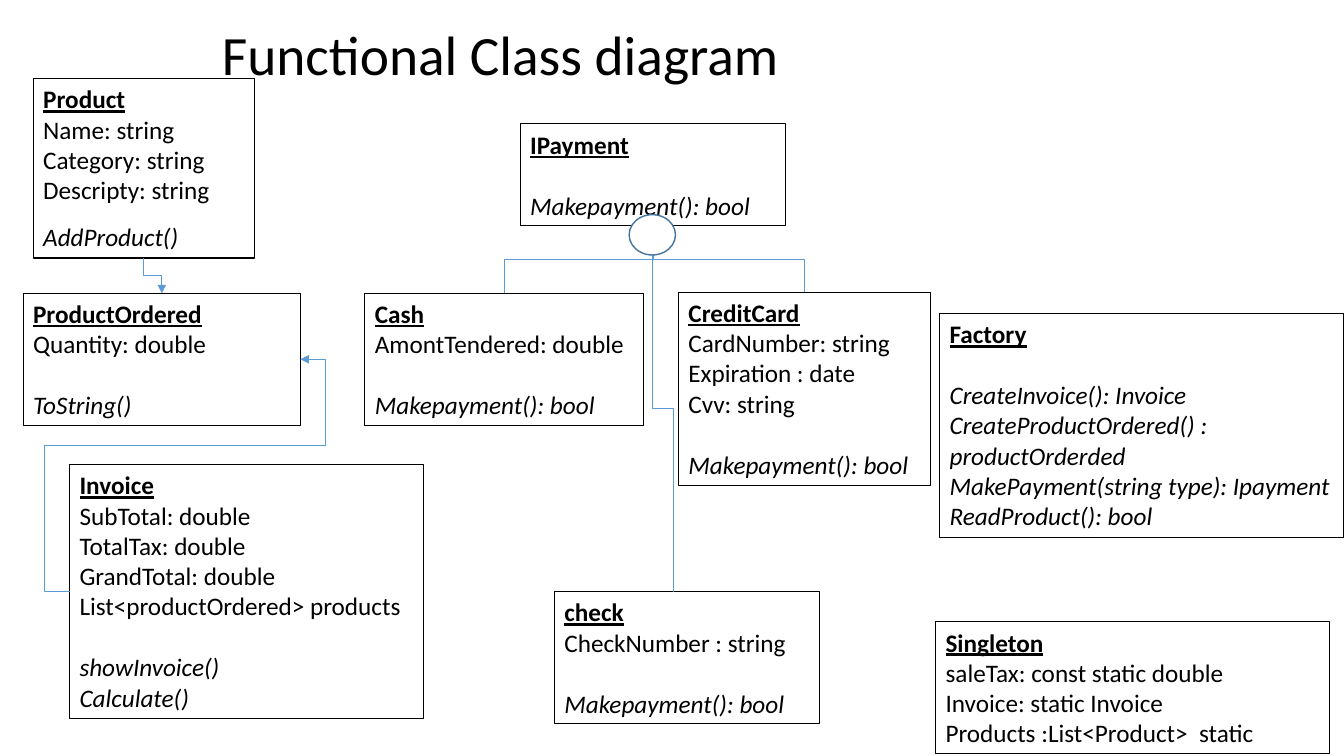
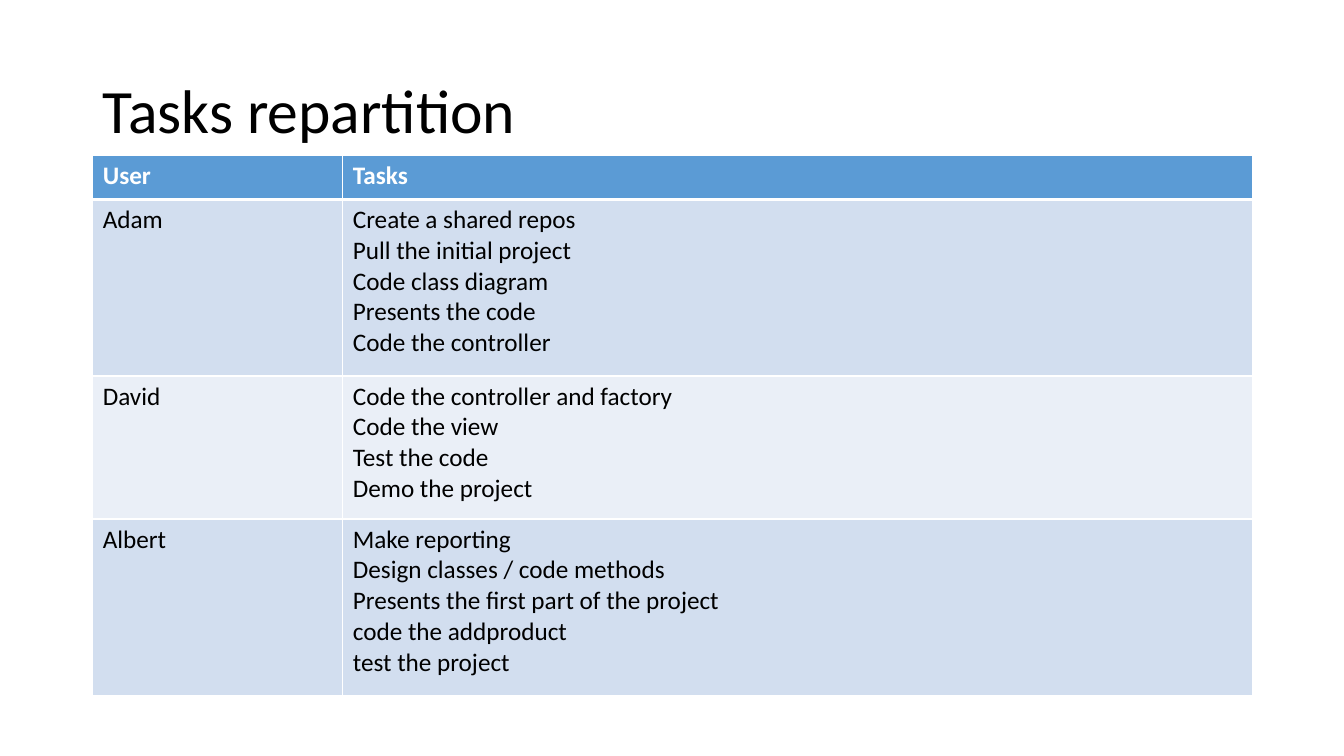
import pptx
import pptx.util
import pptx.dml.color
import pptx.enum.shapes
import pptx.enum.text
import pptx.oxml.ns
import lxml.etree

Inches = pptx.util.Inches
Pt = pptx.util.Pt
RGB = pptx.dml.color.RGBColor
qn = pptx.oxml.ns.qn

BLACK = RGB(0x00, 0x00, 0x00)
WHITE = RGB(0xFF, 0xFF, 0xFF)
BLUE = RGB(0x5B, 0x9B, 0xD5)
CIRCLE_BLUE = RGB(0x43, 0x73, 0x9E)
BANDS = (RGB(0xD2, 0xDE, 0xEF), RGB(0xEA, 0xEF, 0xF7))
FONT = "Calibri"
TOP, LEFT, BOTTOM, RIGHT = range(4)

CLASSES = {
    "Product": ((0.33, 0.78, 2.19, 1.78),
                ["Name: string", "Category: string", "Descripty: string"],
                ["AddProduct()"], 12),
    "ProductOrdered": ((0.23, 2.91, 2.75, 1.31), ["Quantity: double"], ["ToString()"], 22),
    "Invoice": ((0.69, 4.61, 3.51, 2.52),
                ["SubTotal: double", "TotalTax: double", "GrandTotal: double",
                 "List<productOrdered> products"],
                ["showInvoice()", "Calculate()"], 22),
    "IPayment": ((5.16, 1.23, 2.63, 1.01), [], ["Makepayment(): bool"], 22),
    "Cash": ((3.62, 2.91, 2.76, 1.31), ["AmontTendered: double"], ["Makepayment(): bool"], 22),
    "check": ((5.5, 5.87, 2.63, 1.31), ["CheckNumber : string"], ["Makepayment(): bool"], 22),
    "CreditCard": ((6.73, 2.9, 2.5, 1.92),
                   ["CardNumber: string", "Expiration : date", "Cvv: string"],
                   ["Makepayment(): bool"], 22),
    "Factory": ((9.32, 3.11, 4.01, 2.22), [],
                ["CreateInvoice(): Invoice", "CreateProductOrdered() : productOrderded",
                 "MakePayment(string type): Ipayment", "ReadProduct(): bool"], 22),
    "Singleton": ((9.28, 6.17, 3.91, 1.31),
                  ["saleTax: const static double", "Invoice: static Invoice",
                   "Products :List<Product>  static"], [], 22),
}

TASKS = [
    ("User", ["Tasks"], 0.44),
    ("Adam", ["Create a shared repos", "Pull the initial project", "Code class diagram",
              "Presents the code", "Code the controller"], 1.75),
    ("David", ["Code the controller and factory", "Code the view", "Test the code",
               "Demo the project"], 1.42),
    ("Albert", ["Make reporting", "Design classes / code methods",
                "Presents the first part of the project", "code the addproduct",
                "test the project"], 1.75),
]


def write(frame, text, size=18, color=BLACK, bold=False, italic=False, underline=False,
          before=0, spacing=None):
    """Add one formatted paragraph, filling the first one while it is empty."""
    para = frame.paragraphs[0] if not frame.text else frame.add_paragraph()
    para.alignment = pptx.enum.text.PP_ALIGN.LEFT
    para.space_before = Pt(before)
    if spacing:
        para.line_spacing = spacing
    span = para.add_run()
    span.text = text
    font = span.font
    font.name, font.size, font.color.rgb = FONT, Pt(size), color
    font.bold, font.italic, font.underline = bold, italic, underline


def add_page(deck, title, box, size):
    """Add a title-only slide with its title placed in the box."""
    page = deck.slides.add_slide(deck.slide_layouts[5])
    holder = page.shapes.title
    holder.left, holder.top, holder.width, holder.height = map(Inches, box)
    frame = holder.text_frame
    frame.word_wrap = True
    frame.auto_size = pptx.enum.text.MSO_AUTO_SIZE.NONE
    frame.vertical_anchor = pptx.enum.text.MSO_ANCHOR.MIDDLE
    write(frame, title, size=size, spacing=0.9)
    return page


def add_class(page, name, box, fields, methods, gap):
    """Draw a class box: name, fields, then methods after a gap."""
    shape = page.shapes.add_textbox(*map(Inches, box))
    shape.line.color.rgb = BLACK
    shape.line.width = Pt(0.75)
    frame = shape.text_frame
    frame.word_wrap = True
    frame.auto_size = pptx.enum.text.MSO_AUTO_SIZE.SHAPE_TO_FIT_TEXT
    write(frame, name, bold=True, underline=True)
    for field in fields:
        write(frame, field)
    for index, method in enumerate(methods):
        write(frame, method, italic=True, before=0 if index else gap)
    return shape


def add_link(page, start, end, arrow="tailEnd", begin=None):
    """Join two (shape, site) pairs with a thin elbow connector."""
    link = page.shapes.add_connector(pptx.enum.shapes.MSO_CONNECTOR.ELBOW, 0, 0, 0, 0)
    if begin:
        link.begin_x, link.begin_y = map(Inches, begin)
    else:
        link.begin_connect(*start)
    link.end_connect(*end)
    link.line.color.rgb = BLUE
    link.line.width = Pt(0.5)
    properties = link.element.spPr
    line = properties.find(qn("a:ln"))
    lxml.etree.SubElement(line, qn("a:" + arrow), type="triangle")
    lxml.etree.SubElement(properties, qn("a:effectLst"))
    return link


def set_frame(link, turn, flips):
    """Set the rotation in degrees and the flips of a connector."""
    frame = link.element.spPr.find(qn("a:xfrm"))
    frame.set("rot", str(turn * 60000))
    for name in ("flipH", "flipV"):
        frame.set(name, "1" if name in flips else "0")


def add_rising_link(page, start, end, **options):
    """Join upward, with the middle segment of the elbow horizontal."""
    link = add_link(page, start, end, **options)
    rightward = link.end_x > link.begin_x
    middle_x = link.left + link.width // 2
    middle_y = link.top + link.height // 2
    link.width, link.height = link.height, link.width
    link.left = middle_x - link.width // 2
    link.top = middle_y - link.height // 2
    if rightward:
        set_frame(link, 90, ("flipH", "flipV"))
    else:
        set_frame(link, 270, ("flipV",))


def add_loop_link(page, start, end, adjustments):
    """Join around the outside of both boxes with a five-part elbow."""
    link = add_link(page, start, end)
    set_frame(link, 180, ("flipH",))
    geometry = link.element.spPr.find(qn("a:prstGeom"))
    geometry.set("prst", "bentConnector5")
    guides = geometry.find(qn("a:avLst"))
    for number, value in enumerate(adjustments, 1):
        lxml.etree.SubElement(guides, qn("a:gd"), name=f"adj{number}", fmla=f"val {value}")


def add_circle(page, box):
    """Draw the interface circle."""
    circle = page.shapes.add_shape(pptx.enum.shapes.MSO_SHAPE.OVAL, *map(Inches, box))
    circle.shadow.inherit = False
    circle.fill.solid()
    circle.fill.fore_color.rgb = WHITE
    circle.line.color.rgb = CIRCLE_BLUE
    circle.line.width = Pt(1)


def set_borders(cell, top, bottom):
    """Give a cell white borders, with the top and bottom widths in points."""
    properties = cell._tc.get_or_add_tcPr()
    for side, width in (("L", 1), ("R", 1), ("T", top), ("B", bottom)):
        line = lxml.etree.SubElement(properties, qn("a:ln" + side), w=str(Pt(width)))
        fill = lxml.etree.SubElement(line, qn("a:solidFill"))
        lxml.etree.SubElement(fill, qn("a:srgbClr"), val=str(WHITE))


def add_task_table(page, box, columns):
    """Draw the table of users and their tasks."""
    table = page.shapes.add_table(len(TASKS), len(columns), *map(Inches, box)).table
    table.horz_banding = False
    for column, width in zip(table.columns, columns):
        column.width = Inches(width)
    for index, (user, tasks, height) in enumerate(TASKS):
        header = index == 0
        table.rows[index].height = Inches(height)
        for cell, lines in zip(table.rows[index].cells, ([user], tasks)):
            set_borders(cell, top=3 if index == 1 else 1, bottom=3 if header else 1)
            cell.fill.solid()
            cell.fill.fore_color.rgb = BLUE if header else BANDS[(index - 1) % 2]
            for line in lines:
                write(cell.text_frame, line, color=WHITE if header else BLACK, bold=header)


def build_diagram(deck):
    """Build the class diagram slide."""
    page = add_page(deck, "Functional Class diagram", (2.1, 0.21, 9.63, 0.73), 39.6)
    boxes = {name: add_class(page, name, *parts) for name, parts in CLASSES.items()}
    ordered, payment = boxes["ProductOrdered"], (boxes["IPayment"], BOTTOM)
    add_rising_link(page, (ordered, TOP), (boxes["Product"], BOTTOM), arrow="headEnd")
    add_loop_link(page, (boxes["Invoice"], LEFT), (ordered, RIGHT), (-10900, 63200, 110900))
    add_rising_link(page, (boxes["Cash"], TOP), payment)
    add_rising_link(page, (boxes["CreditCard"], TOP), payment)
    add_rising_link(page, (boxes["check"], TOP), payment, begin=(6.68, 5.87))
    add_circle(page, (6.24, 2.13, 0.46, 0.4))


def build_tasks(deck):
    """Build the task table slide."""
    page = add_page(deck, "Tasks repartition", (0.92, 0.4, 11.5, 1.45), 44)
    add_task_table(page, (0.92, 1.54, 11.5, 5.36), (2.48, 9.02))


def main():
    """Build and save the deck."""
    deck = pptx.Presentation()
    deck.slide_width, deck.slide_height = Inches(13.33), Inches(7.5)
    build_diagram(deck)
    build_tasks(deck)
    deck.save("out.pptx")


main()
